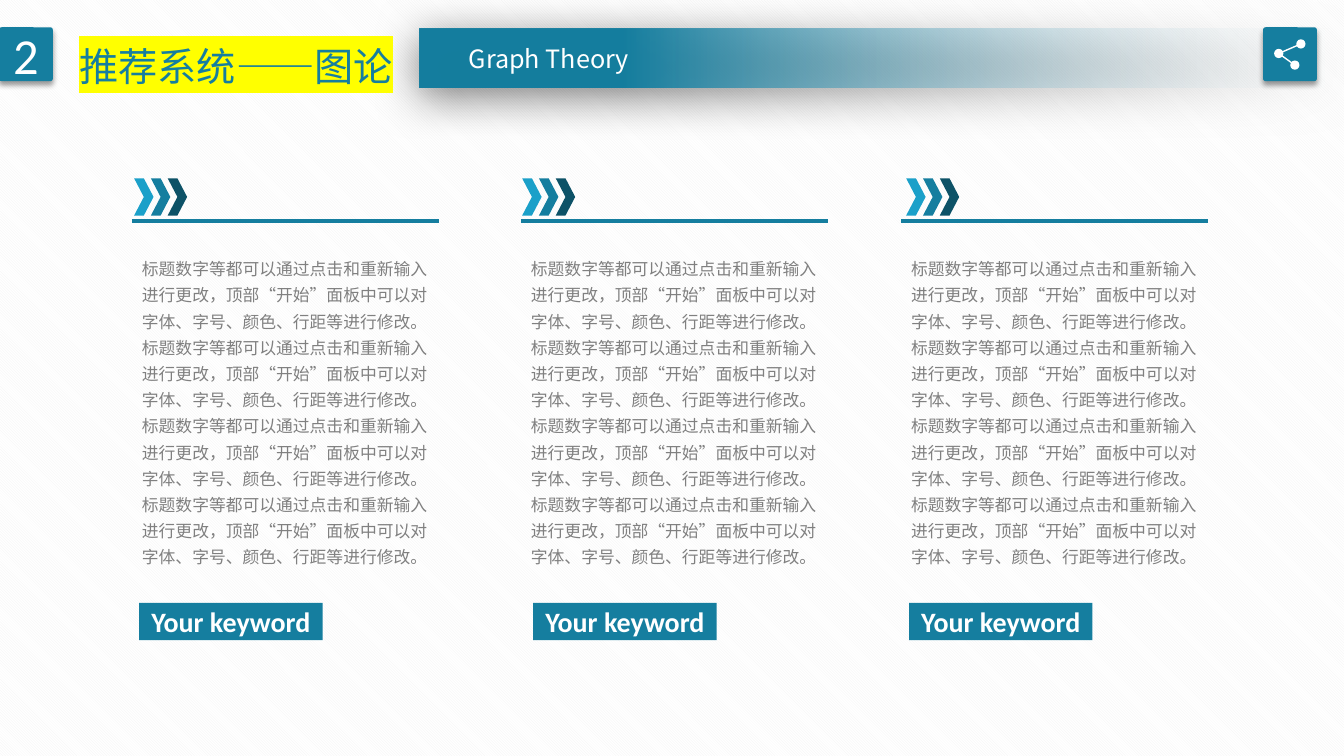
from lxml.etree import SubElement
from pptx import Presentation
from pptx.dml.color import RGBColor
from pptx.enum.dml import MSO_PATTERN
from pptx.enum.shapes import MSO_CONNECTOR, MSO_SHAPE
from pptx.enum.text import MSO_ANCHOR, MSO_AUTO_SIZE, PP_ALIGN
from pptx.oxml.ns import qn
from pptx.util import Pt

TEAL = RGBColor(0x15, 0x7E, 0x9F)
LIGHT_TEAL = RGBColor(0x1B, 0xA0, 0xC9)
DARK_TEAL = RGBColor(0x0D, 0x52, 0x67)
PALE = RGBColor(0xF7, 0xFA, 0xFD)
STRIPE = RGBColor(0xF2, 0xF2, 0xF2)
GRAY = RGBColor(0x80, 0x80, 0x80)
WHITE = RGBColor(0xFF, 0xFF, 0xFF)
YELLOW = RGBColor(0xFF, 0xFF, 0x00)
BLACK = RGBColor(0, 0, 0)

CJK = "Noto Sans CJK SC"
TITLE = {"name": CJK, "size": Pt(28), "color": TEAL}
SUBTITLE = {"name": CJK, "size": Pt(18), "color": WHITE}
BODY = {"name": CJK, "size": Pt(12), "color": GRAY}
NUMBER = {"name": "Calibri", "size": Pt(36), "color": WHITE}
KEYWORD = {"name": "Calibri", "size": Pt(20), "color": WHITE, "bold": True}

SENTENCE = ("标题数字等都可以通过点击和重新输入进行更改，顶部“开始”面板中可以对"
            "字体、字号、颜色、行距等进行修改。")
# Left edge of each column, then the indents of its chevrons and its keyword
COLUMNS = [(94.3, 1.5, 5.1), (372.2, 0.8, 8.7), (643.7, 3.6, 5.7)]
COLUMN_TOP, COLUMN_WIDTH = 127.4, 219


def write(tf, text, style, align=PP_ALIGN.LEFT, spacing=1.0):
    p = tf.paragraphs[0]
    p.alignment, p.line_spacing = align, spacing
    r = p.add_run()
    r.text = text
    for key, value in style.items():
        if key == "color":
            r.font.color.rgb = value
        else:
            setattr(r.font, key, value)
    rPr = r.font._element
    SubElement(rPr, qn("a:ea")).set("typeface", style["name"])
    return rPr


def highlight(rPr, color):
    mark = SubElement(rPr, qn("a:highlight"))
    SubElement(mark, qn("a:srgbClr")).set("val", str(color))
    rPr.find(qn("a:solidFill")).addnext(mark)


def add_text(s, x, y, w, h, text, style, wrap=False, **layout):
    tf = s.shapes.add_textbox(Pt(x), Pt(y), Pt(w), Pt(h)).text_frame
    tf.word_wrap = wrap
    tf.auto_size = MSO_AUTO_SIZE.SHAPE_TO_FIT_TEXT
    return write(tf, text, style, **layout)


def add_block(s, kind, x, y, w, h, color):
    sp = s.shapes.add_shape(kind, Pt(x), Pt(y), Pt(w), Pt(h))
    sp.shadow.inherit = False
    sp.fill.solid()
    sp.fill.fore_color.rgb = color
    sp.line.fill.background()
    sp.text_frame.vertical_anchor = MSO_ANCHOR.MIDDLE
    return sp


def add_line(s, x1, y1, x2, y2, color, width):
    line = s.shapes.add_connector(MSO_CONNECTOR.STRAIGHT, Pt(x1), Pt(y1), Pt(x2), Pt(y2))
    line.line.color.rgb = color
    line.line.width = Pt(width)
    SubElement(line._element.spPr, qn("a:effectLst"))


def cast_shadow(sp, opacity, blur, distance, angle):
    """Give a shape an outer shadow: percent, points, points, degrees."""
    effects = sp._element.spPr.find(qn("a:effectLst"))
    outer = SubElement(effects, qn("a:outerShdw"), blurRad=str(Pt(blur)),
                       dist=str(Pt(distance)), dir=str(angle * 60000),
                       algn="ctr", rotWithShape="0")
    clr = SubElement(outer, qn("a:srgbClr"), val=str(BLACK))
    SubElement(clr, qn("a:alpha"), val=str(opacity * 1000))


def add_banner(s, x, y, w, h):
    bar = add_block(s, MSO_SHAPE.RECTANGLE, x, y, w, h, TEAL)
    cast_shadow(bar, 50, 31, 6, 97)
    bar.fill.gradient()
    bar.fill.gradient_angle = 180
    for stop, position, color in zip(bar.fill.gradient_stops, (0, 0.78), (PALE, TEAL)):
        stop.position = position
        stop.color.rgb = color
    clear = bar._element.spPr.find(".//" + qn("a:srgbClr"))
    SubElement(clear, qn("a:alpha"), val="0")
    add_text(s, x + 26.7, y + 7.2, 131.8, 28.8, "Graph Theory", SUBTITLE,
             align=PP_ALIGN.CENTER)


def add_tile(s, x, y, size):
    tile = add_block(s, MSO_SHAPE.ROUNDED_RECTANGLE, x, y, size, size, TEAL)
    tile.adjustments[0] = 0.05
    cast_shadow(tile, 40, 4, 3, 90)
    return tile


def add_share_tile(s, x, y, size):
    add_tile(s, x, y, size)
    hub, *ends = nodes = [(x + 11.2, y + 18.7), (x + 27, y + 11.9), (x + 22.7, y + 27)]
    for end in ends:
        add_line(s, *hub, *end, WHITE, 1)
    radius = 3.3
    for cx, cy in nodes:
        add_block(s, MSO_SHAPE.OVAL, cx - radius, cy - radius, 2 * radius, 2 * radius, WHITE)


def add_header(s, x, y, w):
    add_banner(s, x + 299.5, y + 0.7, w - 299.5, 42.5)
    number = add_tile(s, x - 0.7, y, 38.5)
    write(number.text_frame, "2", NUMBER, PP_ALIGN.CENTER)
    add_share_tile(s, x + w - 57.8, y, 38.5)
    rPr = add_text(s, x + 49.7, y - 9.4, 245.5, 51.8, "推荐系统——图论", TITLE, spacing=1.5)
    highlight(rPr, YELLOW)


def add_column(s, x, y, w, chevron_indent, keyword_indent):
    add_line(s, x, y + 30.3, x + w, y + 30.3, TEAL, 3)
    for i, color in enumerate((LIGHT_TEAL, TEAL, DARK_TEAL)):
        add_block(s, MSO_SHAPE.CHEVRON, x + chevron_indent + 12 * i, y, 13.9, 26.6, color)
    add_text(s, x, y + 49.7, w, 234, SENTENCE * 4, BODY, wrap=True, spacing=1.3)
    tag = add_block(s, MSO_SHAPE.RECTANGLE, x + keyword_indent, y + 303.2, 131, 26.6, TEAL)
    write(tag.text_frame, "Your keyword", KEYWORD, PP_ALIGN.CENTER)


def main():
    prs = Presentation()
    prs.slide_width, prs.slide_height = Pt(960), Pt(540)
    s = prs.slides.add_slide(prs.slide_layouts[6])
    fill = s.background.fill
    fill.patterned()
    fill.pattern = MSO_PATTERN.DARK_DOWNWARD_DIAGONAL
    fill.fore_color.rgb, fill.back_color.rgb = STRIPE, WHITE
    for x, chevron_indent, keyword_indent in COLUMNS:
        add_column(s, x, COLUMN_TOP, COLUMN_WIDTH, chevron_indent, keyword_indent)
    add_header(s, 0, 19.5, 960)
    prs.save("out.pptx")


if __name__ == "__main__":
    main()
